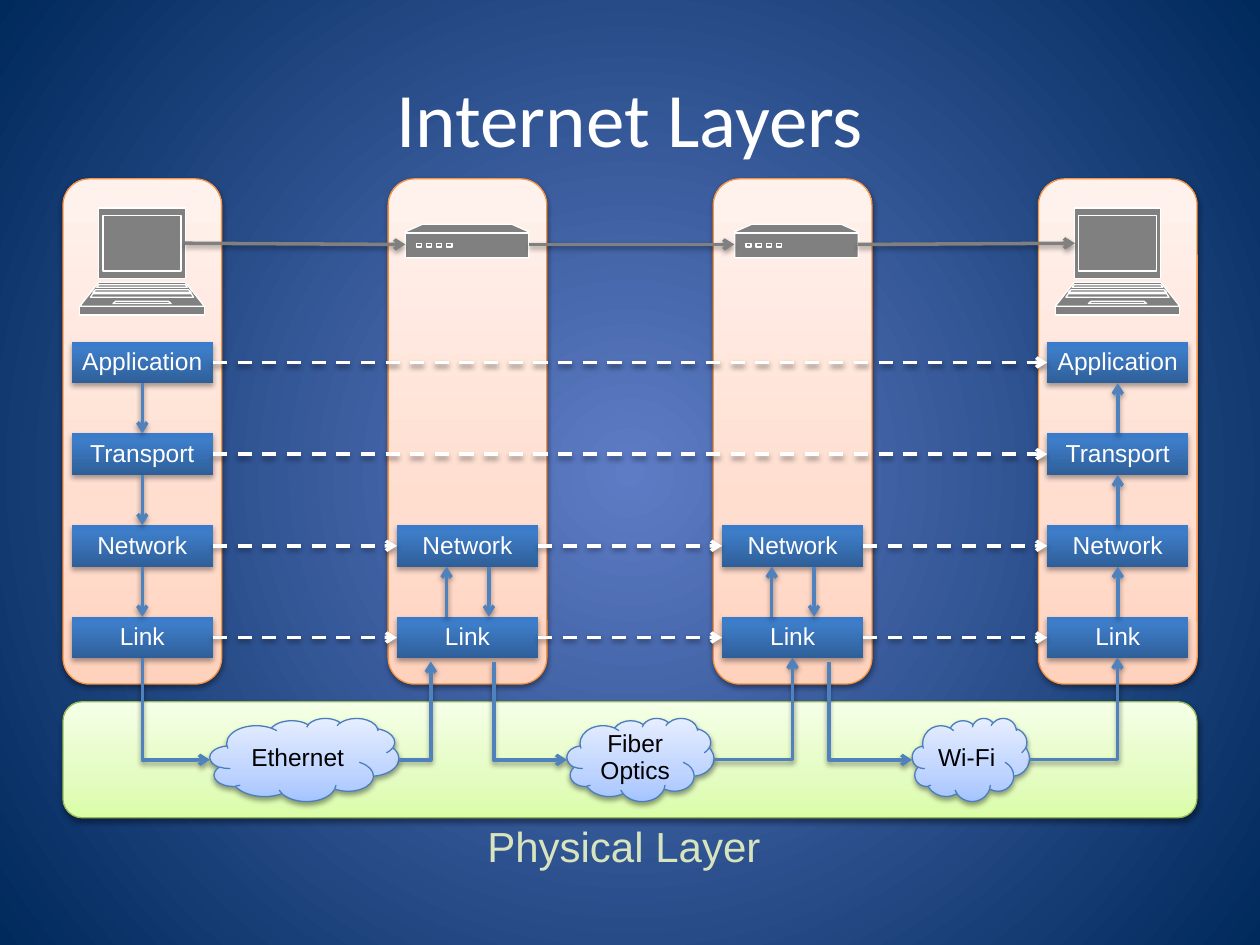
from lxml import etree
from pptx import Presentation
from pptx.dml.color import RGBColor
from pptx.enum.dml import MSO_LINE
from pptx.enum.shapes import MSO_CONNECTOR, MSO_SHAPE
from pptx.enum.text import MSO_ANCHOR, PP_ALIGN
from pptx.oxml.ns import qn
from pptx.util import Pt

ROUNDED, RECT, CLOUD = MSO_SHAPE.ROUNDED_RECTANGLE, MSO_SHAPE.RECTANGLE, MSO_SHAPE.CLOUD
STRAIGHT, ELBOW = MSO_CONNECTOR.STRAIGHT, MSO_CONNECTOR.ELBOW
DASH = MSO_LINE.DASH
CENTER, LEFT, MIDDLE, TOP = PP_ALIGN.CENTER, PP_ALIGN.LEFT, MSO_ANCHOR.MIDDLE, MSO_ANCHOR.TOP

GREEN = [(0, "DAFDA7"), (35, "E4FCC2"), (100, "F5FFE7")]
ORANGE = [(0, "FFD2BD"), (35, "FFDED0"), (100, "FFF2ED")]
BLUE = [(0, "2F5F99"), (80, "3D7CC7"), (100, "3A7CCB")]
SKY = [(0, "A4C4FF"), (35, "BFD4FF"), (100, "E6EEFF")]
WHITE, GRAY, ARROW = "FFFFFF", "808080", "4F81BD"

LAYERS = ["Application", "Transport", "Network", "Link"]
COLUMNS = [36 + 185.8 * i for i in range(4)]
COLUMN_WIDTH, COLUMN_TOP, COLUMN_HEIGHT = 90.7, 102.2, 288.7
BOX_INSET, BOX_WIDTH, BOX_HEIGHT = 5, 80.7, 23.8
WIRE_Y = 434.2

# Laptop parts: top, bottom, half width at the top, half width at the bottom
LAPTOP_PARTS = [
    (0, 40.3, 24.7, 24.7), (42.5, 56.2, 24.7, 35.6), (56.2, 61.2, 35.6, 35.6),
    (4.3, 36, 22.3, 22.3), (43.9, 45.4, 24.8, 25.9), (53.3, 54.7, 15.1, 16.6),
    (46.8, 48.2, 26.6, 28.1), (49, 51.1, 28.1, 29.5),
]


def color(value):
    """Turn a hex string into a colour."""
    return RGBColor.from_string(value)


def add_child(parent, tag, **attributes):
    """Append an XML child with the given attributes."""
    values = {name: str(value) for name, value in attributes.items()}
    return etree.SubElement(parent, qn(tag), values)


def set_gradient(fill, element, stops, radial=False):
    """Give a fill a bottom-to-top or a radial gradient."""
    fill.gradient()
    gradient = next(element.iter(qn("a:gradFill")))
    for child in list(gradient):
        gradient.remove(child)
    stop_list = add_child(gradient, "a:gsLst")
    for position, value in stops:
        stop = add_child(stop_list, "a:gs", pos=position * 1000)
        add_child(stop, "a:srgbClr", val=value)
    if radial:
        circle = add_child(gradient, "a:path", path="circle")
        add_child(circle, "a:fillToRect", l=50000, t=50000, r=50000, b=50000)
    else:
        add_child(gradient, "a:lin", ang=16200000, scaled=0)


def add_shadow(effects, opacity=38, distance=1.6):
    """Put a soft downward shadow into an effect list."""
    shadow = add_child(effects, "a:outerShdw", blurRad=Pt(3.1), dist=Pt(distance),
                       dir=5400000, rotWithShape=0)
    black = add_child(shadow, "a:srgbClr", val="000000")
    add_child(black, "a:alpha", val=opacity * 1000)


def set_text(shape, text, size, value, font="Arial", align=CENTER, anchor=MIDDLE, spacing=0.93):
    """Write one styled paragraph into a shape."""
    frame = shape.text_frame
    frame.vertical_anchor = anchor
    para = frame.paragraphs[0]
    para.text = text
    para.alignment = align
    para.line_spacing = spacing
    para.font.size, para.font.name = Pt(size), font
    para.font.color.rgb = color(value)


def add_panel(page, kind, box, stops, outline=None, text=None, text_color=WHITE):
    """Add a shaded shape, with an outline and a label if given."""
    shape = page.shapes.add_shape(kind, *map(Pt, box))
    set_gradient(shape.fill, shape.element, stops)
    if outline:
        shape.line.color.rgb, shape.line.width = color(outline), Pt(0.75)
    else:
        shape.line.fill.background()
    shape.shadow.inherit = False
    effects = next(shape.element.iter(qn("a:effectLst")))
    add_shadow(effects, *((38, 1.6) if outline else (35, 1.8)))
    if text:
        shape.text_frame.word_wrap = True
        shape.text_frame.margin_left = shape.text_frame.margin_right = 0
        set_text(shape, text, 14, text_color)


def add_label(page, box, text, wrap, size, value, **style):
    """Add a text box with one paragraph."""
    label = page.shapes.add_textbox(*map(Pt, box))
    label.text_frame.word_wrap = wrap
    set_text(label, text, size, value, **style)


def add_arrow(page, start, end, value=ARROW, dash=None, kind=STRAIGHT):
    """Add a connector with an arrowhead at its end."""
    arrow = page.shapes.add_connector(kind, *map(Pt, (*start, *end)))
    arrow.line.color.rgb, arrow.line.width = color(value), Pt(2)
    if dash:
        arrow.line.dash_style = dash
    properties = arrow.element.spPr
    add_child(properties.find(qn("a:ln")), "a:tailEnd", type="arrow")
    add_shadow(add_child(properties, "a:effectLst"))
    return arrow


def add_bend(page, start, end):
    """Add a one-corner arrow: down then right, or right then up."""
    (x1, y1), (x2, y2) = start, end
    falling = y2 > y1
    if falling:
        middle_x, middle_y = (x1 + x2) / 2, (y1 + y2) / 2
        half_x, half_y = (y2 - y1) / 2, (x2 - x1) / 2
        start = (middle_x + half_x, middle_y - half_y)
        end = (middle_x - half_x, middle_y + half_y)
    arrow = add_arrow(page, start, end, kind=ELBOW)
    properties = arrow.element.spPr
    properties.find(qn("a:prstGeom")).set("prst", "bentConnector2")
    if falling:
        properties.find(qn("a:xfrm")).set("rot", "16200000")


def add_device(page, left, top, outlines):
    """Draw outlines as separate paths of one gray freeform."""
    outlines = [[(Pt(left + x), Pt(top + y)) for x, y in points] for points in outlines]
    builder = page.shapes.build_freeform(*outlines[0][0])
    for index, points in enumerate(outlines):
        if index:
            builder.move_to(*points[0])
        builder.add_line_segments(points[1:], close=len(points) > 2)
    device = builder.convert_to_shape()
    device.fill.solid()
    device.fill.fore_color.rgb = color(GRAY)
    device.line.color.rgb, device.line.width = color(WHITE), Pt(0.75)
    device.shadow.inherit = False
    merged = next(device.element.iter(qn("a:path")))
    paths = merged.getparent()
    for node in list(merged):
        if node.tag == qn("a:moveTo"):
            part = add_child(paths, "a:path", **dict(merged.attrib))
        part.append(node)
    paths.remove(merged)


def add_laptop(page, left, top):
    """Draw a laptop from symmetric trapezoids."""
    middle = 35.6
    add_device(page, left, top, [
        [(middle - a, y1), (middle + a, y1), (middle + b, y2), (middle - b, y2)]
        for y1, y2, a, b in LAPTOP_PARTS])


def add_router(page, left, top):
    """Draw a flat router with four ports."""
    body = [(0, 4.3), (9.7, 0), (61, 0), (70.6, 4.3), (70.6, 19.1), (0, 19.1)]
    ports = [[(x, 10.8), (x, 13), (x + 2.9, 13), (x + 2.9, 10.8)]
             for x in (6.5 + 5.75 * i for i in range(4))]
    add_device(page, left, top, [body, [(0, 5), (70.6, 5)], *ports])


def layer_top(layer):
    """Give the top of a layer's boxes."""
    return 195.2 + 52.4 * LAYERS.index(layer)


def add_column(page, left, layers):
    """Add a machine's column with its layer boxes."""
    add_panel(page, ROUNDED, (left, COLUMN_TOP, COLUMN_WIDTH, COLUMN_HEIGHT), ORANGE, "F69240")
    for layer in layers:
        box = (left + BOX_INSET, layer_top(layer), BOX_WIDTH, BOX_HEIGHT)
        add_panel(page, RECT, box, BLUE, text=layer)


def add_steps(page, x, layers, upward):
    """Add vertical arrows between neighbouring layers."""
    for upper, lower in zip(layers, layers[1:]):
        ends = [(x, layer_top(upper) + BOX_HEIGHT), (x, layer_top(lower))]
        add_arrow(page, *(reversed(ends) if upward else ends))


def add_peers(page, layer, columns):
    """Add dashed arrows between the boxes of one layer."""
    y = layer_top(layer) + BOX_HEIGHT / 2
    for left, right in zip(columns, columns[1:]):
        add_arrow(page, (left + BOX_INSET + BOX_WIDTH, y), (right + BOX_INSET, y), WHITE, DASH)


def add_link(page, name, left, width, down, up):
    """Add a cloud with the arrows into and out of it."""
    add_panel(page, CLOUD, (left, 410.4, width, 47.5), SKY, "4B7EBC", name, "000000")
    add_bend(page, down, (left, WIRE_Y))
    add_bend(page, (left + width, WIRE_Y), up)


def build_slide(page):
    """Place all parts of the layer diagram."""
    set_gradient(page.background.fill, page.element, [(0, "5E7CC5"), (100, "00295C")], radial=True)
    add_panel(page, ROUNDED, (36, 401, 648, 66.3), GREEN, "98B955")
    add_label(page, (36, 21.6, 648, 90), "Internet Layers", True, 44, WHITE,
              font="Calibri", spacing=1)
    for index, left in enumerate(COLUMNS):
        if index in (0, 3):
            add_column(page, left, LAYERS)
            add_laptop(page, left + 9.6, 118.8)
            add_steps(page, left + COLUMN_WIDTH / 2, LAYERS, upward=index == 3)
        else:
            add_column(page, left, LAYERS[2:])
            add_router(page, left + (9.8 if index == 1 else 12.2), 128.2)
            add_steps(page, left + 33.4, LAYERS[2:], upward=True)
            add_steps(page, left + 57.6, LAYERS[2:], upward=False)
    add_link(page, "Ethernet", 120, 108, (81.4, 375.8), (246.2, 378))
    add_link(page, "Fiber Optics", 324, 84, (282.2, 378), (452.9, 375.8))
    add_link(page, "Wi-Fi", 521.3, 67, (473.8, 378), (638.6, 375.8))
    for x1, y1, x2, y2 in [(105.8, 139, 231.6, 139.7), (302.4, 139.7, 419.6, 139.7),
                           (490.2, 139.7, 614.2, 139)]:
        add_arrow(page, (x1, y1), (x2, y2), GRAY)
    add_label(page, (271.4, 468, 172, 34.6), "Physical Layer", False, 24, "D7E4BD",
              align=LEFT, anchor=TOP)
    for layer in LAYERS:
        add_peers(page, layer, COLUMNS if layer in LAYERS[2:] else COLUMNS[::3])


deck = Presentation()
deck.slide_width, deck.slide_height = Pt(720), Pt(540)
build_slide(deck.slides.add_slide(deck.slide_layouts[6]))
deck.save("out.pptx")
